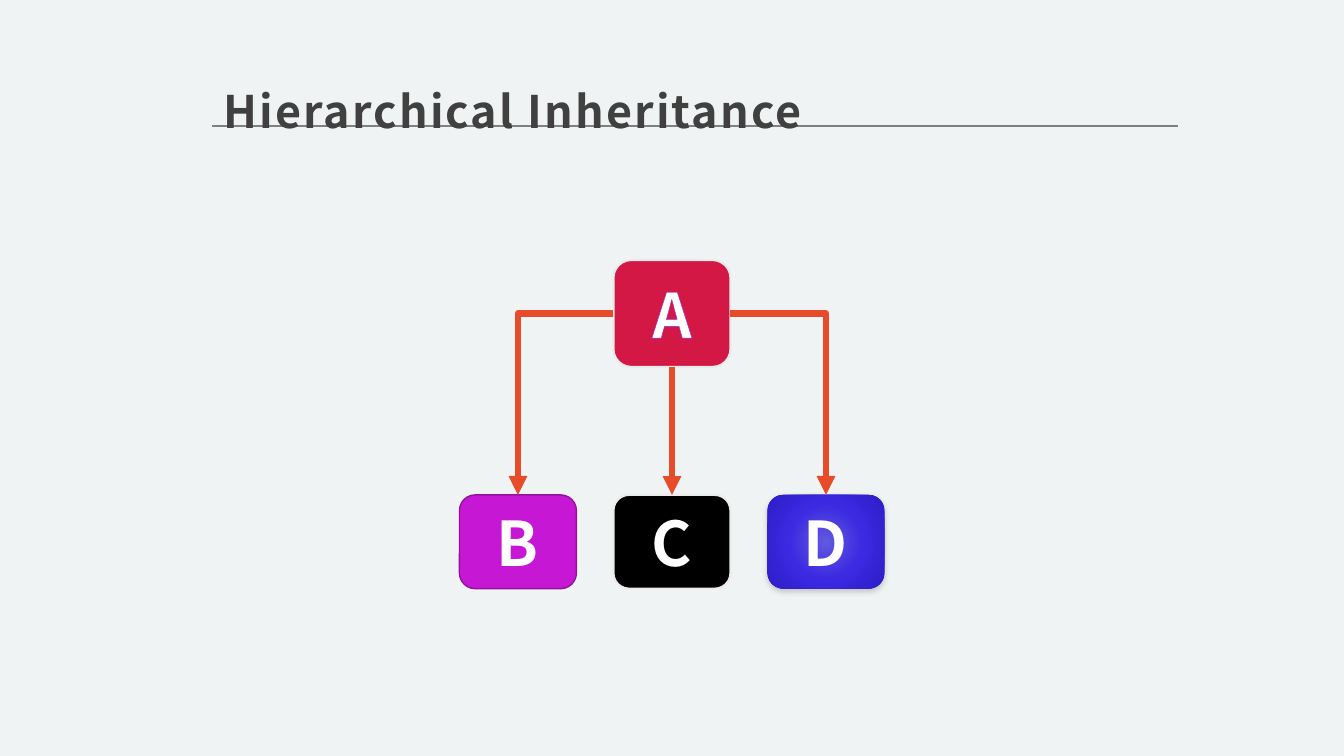
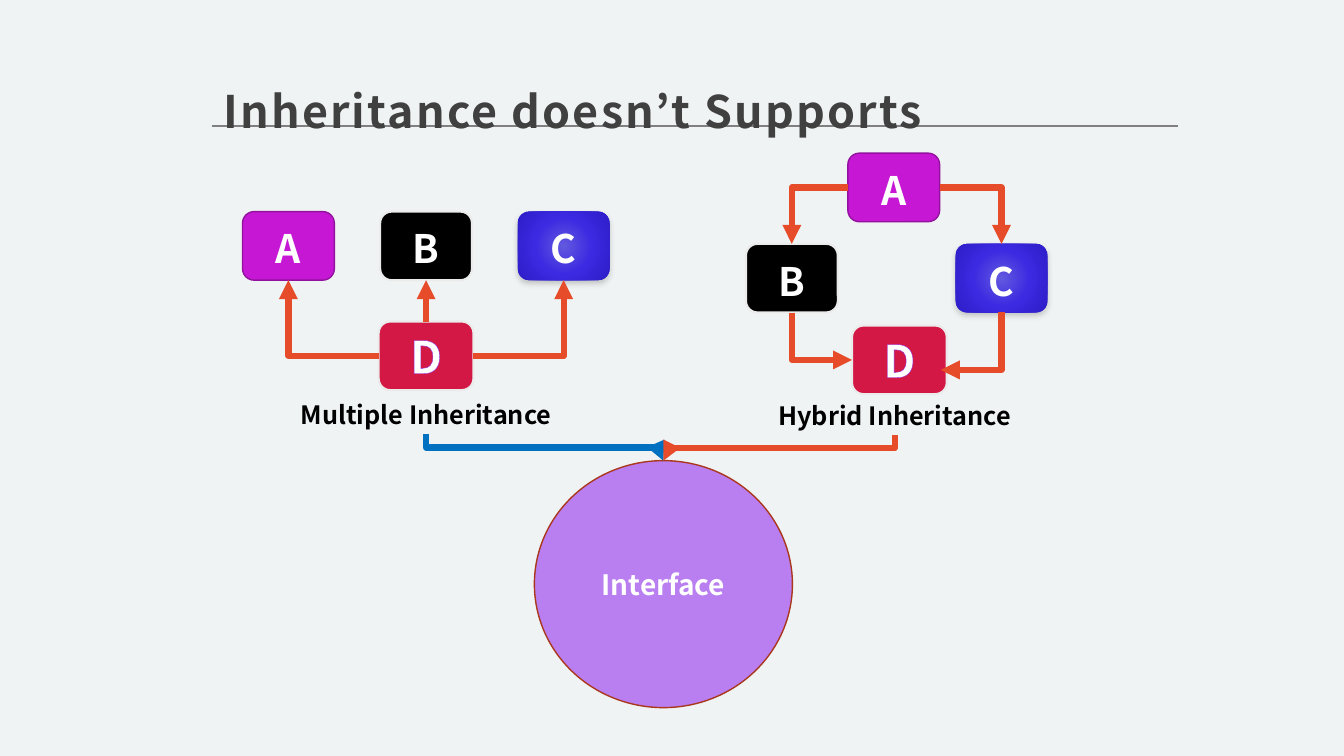
from dataclasses import dataclass
from typing import Optional

from pptx import Presentation
from pptx import util as u
from pptx.dml.color import RGBColor
from pptx.enum import shapes, text
from pptx.oxml import parse_xml
from pptx.oxml.ns import nsdecls, qn

COLORS = {
    "paper": "F0F3F3", "rule": "808080", "title": "404040", "ink": "000000",
    "white": "FFFFFF", "pale": "EBEBEB", "red": "D41845", "outline": "8A2AE6",
    "magenta": "C618D4", "plum": "92129D", "black": "000000",
    "orange": "E64C2A", "blue": "0070C0", "lilac": "B97FF0", "rust": "AA381F",
    "glow": "6259DF", "indigo": "3B2AE1", "navy": "2D1CC6",
}
FONT = "Noto Sans CJK JP"
WIDTH, HEIGHT = u.Inches(13.33), u.Inches(7.5)
TOP, LEFT, BOTTOM, RIGHT = range(4)
BIG, SMALL = (8.7, 12.4), (6.83, 9.07)


@dataclass(frozen=True)
class Style:
    """Look of one kind of node; no edge means a glowing, shadowed fill."""
    fill: str
    edge: Optional[str] = None
    edge_width: float = 1.5
    anchor: text.MSO_ANCHOR = text.MSO_ANCHOR.BOTTOM
    outline: bool = False
    geometry: shapes.MSO_SHAPE = shapes.MSO_SHAPE.ROUNDED_RECTANGLE


STYLES = {
    "red": Style("red", "pale", anchor=text.MSO_ANCHOR.MIDDLE, outline=True),
    "magenta": Style("magenta", "plum", 1),
    "black": Style("black", "pale"),
    "indigo": Style("indigo"),
    "circle": Style("lilac", "rust", 1, text.MSO_ANCHOR.MIDDLE,
                    geometry=shapes.MSO_SHAPE.OVAL),
}


@dataclass(frozen=True)
class Node:
    """A labelled shape; centre and size are percentages of the slide."""
    label: str
    style: str
    center: tuple[float, float]
    size: tuple[float, float] = SMALL
    points: int = 28


@dataclass(frozen=True)
class Arrow:
    """An arrow between connection sites, or ending at a free point."""
    start: str
    start_site: int
    end: Optional[str] = None
    end_site: int = TOP
    bend: int = 2
    color: str = "orange"
    point: tuple[float, float] = (0, 0)


def col(share: float) -> int:
    """Turn a percentage of the slide's width into a length."""
    return round(WIDTH * share / 100)


def row(share: float) -> int:
    """Turn a percentage of the slide's height into a length."""
    return round(HEIGHT * share / 100)


def rgb(name: str) -> RGBColor:
    """Look up a named colour."""
    return RGBColor.from_string(COLORS[name])


def apply(obj: object, formats: dict) -> None:
    """Set every attribute in a dict of format values."""
    for name, value in formats.items():
        setattr(obj, name, value)


def frame(center: tuple[float, float], size: tuple[float, float]) -> tuple:
    """Give left, top, width and height of a centred area."""
    (x, y), (w, h) = center, size
    return col(x - w / 2), row(y - h / 2), col(w), row(h)


def xml(body: str):
    """Make a drawing element from its text."""
    tag, rest = body[:-1].split(" ", 1) if body.endswith("/") else (body, "")
    return parse_xml(f"<a:{tag} {nsdecls('a')} {rest}/>")


def write(tf, words: str, points: int, color: str,
          align=text.PP_ALIGN.CENTER):
    """Write one bold line and return its run."""
    p = tf.paragraphs[0]
    p.alignment = align
    r = p.add_run()
    r.text = words
    apply(r.font, {"name": FONT, "size": u.Pt(points), "bold": True})
    r.font.color.rgb = rgb(color)
    return r


def add_glow(sp) -> None:
    """Give a shape a round gradient and a soft shadow below it."""
    sp.fill.gradient()
    spPr = sp._element.spPr
    stops = "".join(
        f'<a:gs pos="{pos}"><a:srgbClr val="{COLORS[name]}"/></a:gs>'
        for pos, name in ((0, "glow"), (50000, "indigo"), (100000, "navy")))
    spPr.replace(spPr.find(qn("a:gradFill")), parse_xml(
        f'<a:gradFill {nsdecls("a")} rotWithShape="1"><a:gsLst>{stops}</a:gsLst>'
        '<a:path path="circle"><a:fillToRect l="100000" t="100000" '
        'r="100000" b="100000"/></a:path></a:gradFill>'))
    spPr.find(qn("a:effectLst")).append(parse_xml(
        f'<a:outerShdw {nsdecls("a")} blurRad="{u.Pt(4.5)}" dist="{u.Pt(2)}" '
        'dir="5400000" rotWithShape="0"><a:srgbClr val="000000">'
        '<a:alpha val="20000"/></a:srgbClr></a:outerShdw>'))


def add_node(s, node: Node):
    """Draw a labelled node."""
    style = STYLES[node.style]
    sp = s.shapes.add_shape(style.geometry, *frame(node.center, node.size))
    sp.shadow.inherit = False
    if style.edge:
        sp.fill.solid()
        sp.fill.fore_color.rgb = rgb(style.fill)
        sp.line.color.rgb = rgb(style.edge)
        sp.line.width = u.Pt(style.edge_width)
    else:
        sp.line.fill.background()
        add_glow(sp)
    sp.text_frame.vertical_anchor = style.anchor
    r = write(sp.text_frame, node.label, node.points, "white")
    if style.outline:
        r._r.get_or_add_rPr().insert(0, parse_xml(
            f'<a:ln {nsdecls("a")} w="{u.Pt(0.8)}"><a:solidFill><a:srgbClr '
            f'val="{COLORS["outline"]}"/></a:solidFill></a:ln>'))
    return sp


def add_caption(s, words: str, center: tuple[float, float]):
    """Write the name of a diagram below it."""
    sp = s.shapes.add_textbox(*frame(center, (50, 5.33)))
    apply(sp.text_frame, {"word_wrap": True,
                          "vertical_anchor": text.MSO_ANCHOR.MIDDLE})
    write(sp.text_frame, words, 18, "ink")
    return sp


def format_line(c, color: str, width: float) -> None:
    """Colour a connector and take its shadow away."""
    c.line.color.rgb = rgb(color)
    c.line.width = u.Pt(width)
    c._element.spPr.append(xml("effectLst"))


def turn_downward(c) -> None:
    """Turn an elbow by a quarter so that it sets off downward."""
    rightward = c.end_x > c.begin_x
    x, y, w, h = c.left, c.top, c.width, c.height
    apply(c, {"left": x + (w - h) // 2, "top": y + (h - w) // 2,
              "width": h, "height": w})
    xfrm = c._element.spPr.find(qn("a:xfrm"))
    xfrm.attrib.pop("flipH", None)
    xfrm.set("rot", "5400000")
    xfrm.set("flipV", "1" if rightward else "0")


def add_arrow(s, arrow: Arrow, parts: dict) -> None:
    """Draw an arrow; bend 1 is straight, 2 and 3 are elbow segments."""
    kinds = shapes.MSO_CONNECTOR
    kind = kinds.STRAIGHT if arrow.bend == 1 else kinds.ELBOW
    x, y = arrow.point
    c = s.shapes.add_connector(kind, 0, 0, col(x), row(y))
    c.begin_connect(parts[arrow.start], arrow.start_site)
    if arrow.end:
        c.end_connect(parts[arrow.end], arrow.end_site)
    if arrow.bend > 1:
        geometry = c._element.spPr.find(qn("a:prstGeom"))
        geometry.set("prst", f"bentConnector{arrow.bend}")
        if arrow.start_site == BOTTOM:
            turn_downward(c)
    format_line(c, arrow.color, 4.5)
    ln = c._element.spPr.find(qn("a:ln"))
    ln.append(xml("round"))
    ln.append(xml('tailEnd type="triangle"/'))


def set_up(prs):
    """Put background, title area and rule where all slides share them."""
    prs.slide_width, prs.slide_height = WIDTH, HEIGHT
    fill = prs.slide_master.background.fill
    fill.solid()
    fill.fore_color.rgb = rgb("paper")
    layout = prs.slide_layouts.get_by_name("Title Only")
    title = layout.placeholders[0]
    apply(title, {"left": col(15.75), "top": row(6.4),
                  "width": col(71.93), "height": row(14.13)})
    return layout


def add_rule(s, layout) -> None:
    """Draw the title rule and hand it to the layout."""
    c = s.shapes.add_connector(shapes.MSO_CONNECTOR.STRAIGHT, col(15.75),
                               row(16.67), col(87.68), row(16.67))
    format_line(c, "rule", 2)
    layout.shapes._spTree.append(c._element)


def add_slide(prs, layout, title: str):
    """Add a slide with its formatted title."""
    s = prs.slides.add_slide(layout)
    tf = s.shapes.title.text_frame
    apply(tf, {"margin_left": u.Inches(0.12), "margin_top": u.Inches(0.12),
               "margin_right": u.Inches(0.12), "margin_bottom": u.Inches(0.1),
               "word_wrap": True, "auto_size": text.MSO_AUTO_SIZE.NONE,
               "vertical_anchor": text.MSO_ANCHOR.MIDDLE})
    r = write(tf, title, 32, "title", text.PP_ALIGN.LEFT)
    r._r.get_or_add_rPr().set("spc", "150")
    tf.paragraphs[0].line_spacing = 1.3
    return s


def add_diagram(s, nodes: list[Node], arrows: list[Arrow]) -> None:
    """Draw nodes, then the arrows that join them by label."""
    parts = {node.label: add_node(s, node) for node in nodes}
    for arrow in arrows:
        add_arrow(s, arrow, parts)


def children(labels: str, middle: float, step: float, y: float,
             size: tuple[float, float], points: int) -> list[Node]:
    """Lay out three nodes at equal steps around a middle column."""
    looks = ("magenta", "black", "indigo")
    return [Node(label, look, (middle + (i - 1) * step, y), size, points)
            for i, (label, look) in enumerate(zip(labels, looks))]


def hierarchical(prs, layout) -> None:
    """Build the slide with one parent and three children."""
    s = add_slide(prs, layout, "Hierarchical Inheritance")
    add_rule(s, layout)
    nodes = [Node("A", "red", (50, 41.47), (8.7, 14.13), 44),
             *children("BCD", 50, 11.46, 71.67, BIG, 44)]
    add_diagram(s, nodes, [Arrow("A", BOTTOM, "C", bend=1),
                           Arrow("A", LEFT, "B"), Arrow("A", RIGHT, "D")])


def unsupported(prs, layout) -> None:
    """Build the slide with multiple and hybrid inheritance."""
    s = add_slide(prs, layout, "Inheritance doesn\u2019t Supports")
    parts = {
        "Interface": add_node(s, Node("Interface", "circle", (49.36, 77.27),
                                      (19.2, 32.67), 20)),
        "multiple": add_caption(s, "Multiple Inheritance", (31.7, 54.8)),
        "hybrid": add_caption(s, "Hybrid Inheritance", (66.57, 54.93)),
    }
    for name, color in (("multiple", "blue"), ("hybrid", "orange")):
        add_arrow(s, Arrow(name, BOTTOM, "Interface", bend=3, color=color),
                  parts)
    root = (7.05, 9.07)
    add_diagram(
        s, [Node("D", "red", (31.7, 47.07), root, 32),
            *children("ABC", 31.7, 10.24, 32.53, SMALL, 28)],
        [Arrow("D", TOP, "B", BOTTOM, 1), Arrow("D", LEFT, "A", BOTTOM),
         Arrow("D", RIGHT, "C", BOTTOM)])
    add_diagram(
        s, [Node("A", "magenta", (66.5, 24.8)),
            Node("B", "black", (58.92, 36.8)),
            Node("C", "indigo", (74.52, 36.8)),
            Node("D", "red", (66.92, 47.6), root, 32)],
        [Arrow("A", LEFT, "B"), Arrow("A", RIGHT, "C"),
         Arrow("C", BOTTOM, point=(70, 48.93)),
         Arrow("B", BOTTOM, "D", LEFT)])


prs = Presentation()
shared = set_up(prs)
hierarchical(prs, shared)
unsupported(prs, shared)
prs.save("out.pptx")
